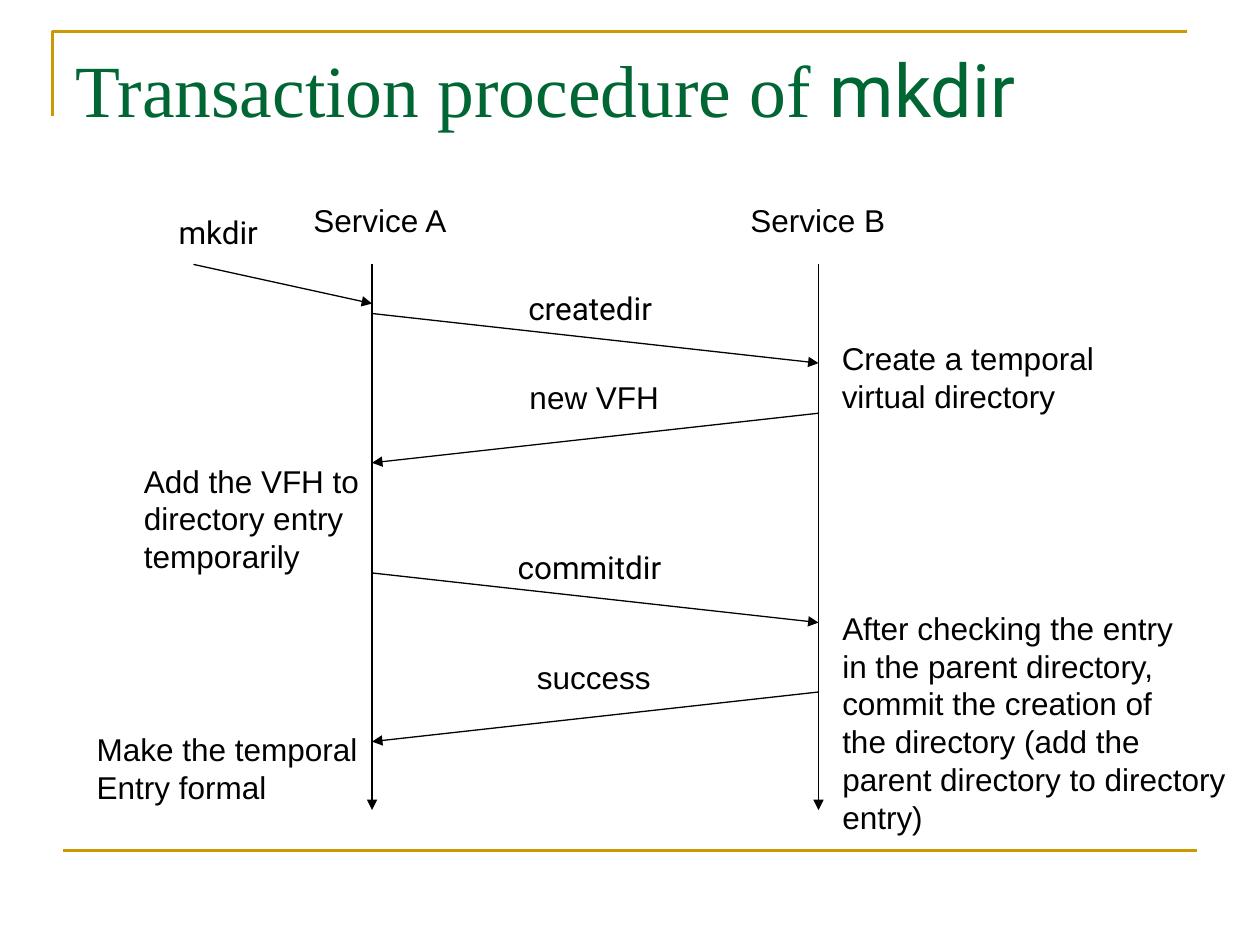
from lxml.etree import SubElement
from pptx import Presentation
from pptx.dml.color import RGBColor
from pptx.enum.shapes import MSO_CONNECTOR
from pptx.enum.text import MSO_ANCHOR, MSO_AUTO_SIZE
from pptx.oxml.ns import qn
from pptx.util import Cm, Pt

HUES = {"gold": "CC9900", "green": "006633", "ink": "000000"}
SANS, MONO, SERIF = "Arial", "Roboto", "Times New Roman"
A_X, B_X = 7.5, 16.5
TOP, END = 5.33, 16.33
DROP = 1.0
PAD, ROW = 0.25, 0.76

# label, font, label width, label top, arrow start, goes from A to B
CALLS = [
    ("createdir", MONO, 3.2, 5.7, 6.32, True),
    ("new VFH", SANS, 3.15, 7.5, 8.33, False),
    ("commitdir", MONO, 3.63, 10.92, 11.55, True),
    ("success", SANS, 2.85, 13.14, 13.95, False),
]
# left, top, width, paragraphs
NOTES = [
    (16.72, 6.71, 5.6, ["Create a temporal", "virtual directory"]),
    (2.65, 9.18, 4.87, ["Add the VFH to", "directory entry", "temporarily"]),
    (16.73, 12.15, 8.25, [
        "After checking the entry", "in the parent directory,",
        "commit the creation of\nthe directory (add the",
        "parent directory to directory", "entry)"]),
    (1.7, 14.59, 5.8, ["Make the temporal", "Entry formal"]),
]


def color(name):
    return RGBColor.from_string(HUES[name])


def add_run(para, text, font, size=18, hue="ink"):
    run = para.add_run()
    run.text = text
    run.font.name = font
    run.font.size = Pt(size)
    run.font.color.rgb = color(hue)


def add_box(slide, left, top, width, height, wrap=False):
    """Add an empty text box; one that does not wrap grows with its text."""
    box = slide.shapes.add_textbox(Cm(left), Cm(top), Cm(width), Cm(height))
    frame = box.text_frame
    frame.word_wrap = wrap
    frame.vertical_anchor = MSO_ANCHOR.TOP
    if not wrap:
        frame.auto_size = MSO_AUTO_SIZE.SHAPE_TO_FIT_TEXT
    return frame


def add_text(slide, left, top, width, paras, font=SANS):
    """Add a text box; a newline inside a paragraph is a line break."""
    rows = sum(text.count("\n") + 1 for text in paras)
    frame = add_box(slide, left, top, width, PAD + ROW * rows)
    for num, text in enumerate(paras):
        para = frame.add_paragraph() if num else frame.paragraphs[0]
        for part, line in enumerate(text.split("\n")):
            if part:
                para.add_line_break()
            add_run(para, line, font)


def add_line(slide, start, end, hue="ink", width=0.75, arrow=True):
    line = slide.shapes.add_connector(
        MSO_CONNECTOR.STRAIGHT, *map(Cm, start + end))
    line.line.color.rgb = color(hue)
    line.line.width = Pt(width)
    if arrow:
        SubElement(line.line._get_or_add_ln(), qn("a:tailEnd"), type="triangle")
    SubElement(line._element.spPr, qn("a:effectLst"))


def add_frame(slide):
    """Draw the gold corner above the title and the rule at the foot."""
    path = slide.shapes.build_freeform(Cm(1.06), Cm(2.33))
    path.add_line_segments(
        [(Cm(1.06), Cm(0.64)), (Cm(23.92), Cm(0.64))], close=False)
    edge = path.convert_to_shape()
    edge.shadow.inherit = False
    edge.fill.background()
    edge.line.color.rgb = color("gold")
    edge.line.width = Pt(1.5)
    add_line(slide, (1.27, 17.15), (24.13, 17.15), "gold", 1.5, False)


def add_title(slide):
    para = add_box(slide, 1.27, 0.77, 22.86, 3.18, True).paragraphs[0]
    add_run(para, "Transaction procedure of ", SERIF, 42, "green")
    add_run(para, "mkdir", MONO, 42, "green")


def add_call(slide, label, font, width, top, start, right):
    """Draw one message between the services, label centred between them."""
    x1, x2 = (A_X, B_X) if right else (B_X, A_X)
    add_line(slide, (x1, start), (x2, start + DROP))
    add_text(slide, (A_X + B_X - width) / 2, top, width, [label], font)


def main():
    prs = Presentation()
    prs.slide_width, prs.slide_height = Cm(25.4), Cm(19.05)
    slide = prs.slides.add_slide(prs.slide_layouts[6])
    add_frame(slide)
    add_title(slide)
    for x, left, name in ((A_X, 6.07, "Service A"), (B_X, 14.88, "Service B")):
        add_line(slide, (x, TOP), (x, END))
        add_text(slide, left, 3.93, 3.25, [name])
    add_line(slide, (3.9, TOP), (A_X, 6.12))
    add_text(slide, 3.35, 4.17, 2.28, ["mkdir"], MONO)
    for call in CALLS:
        add_call(slide, *call)
    for note in NOTES:
        add_text(slide, *note)
    prs.save("out.pptx")


if __name__ == "__main__":
    main()
